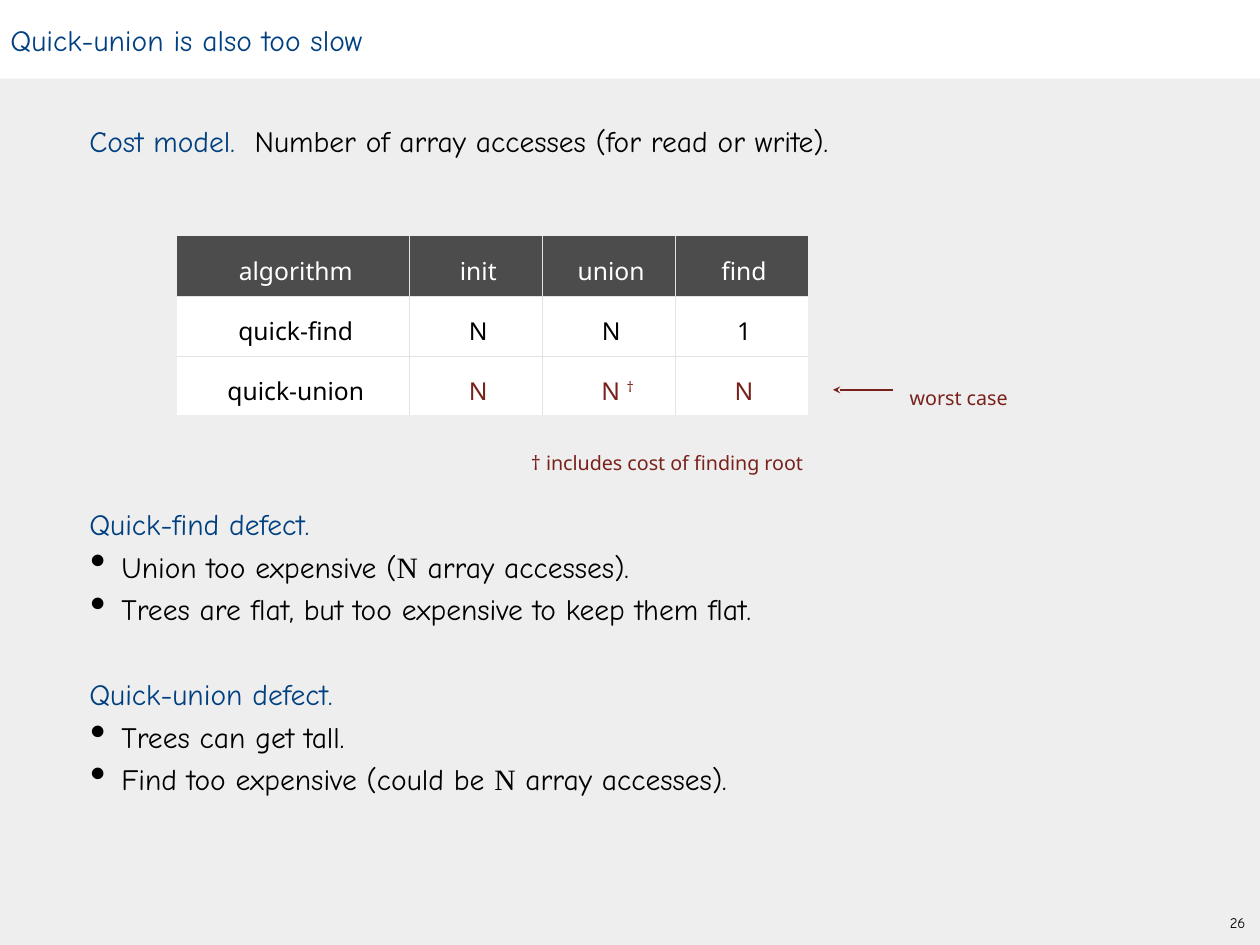
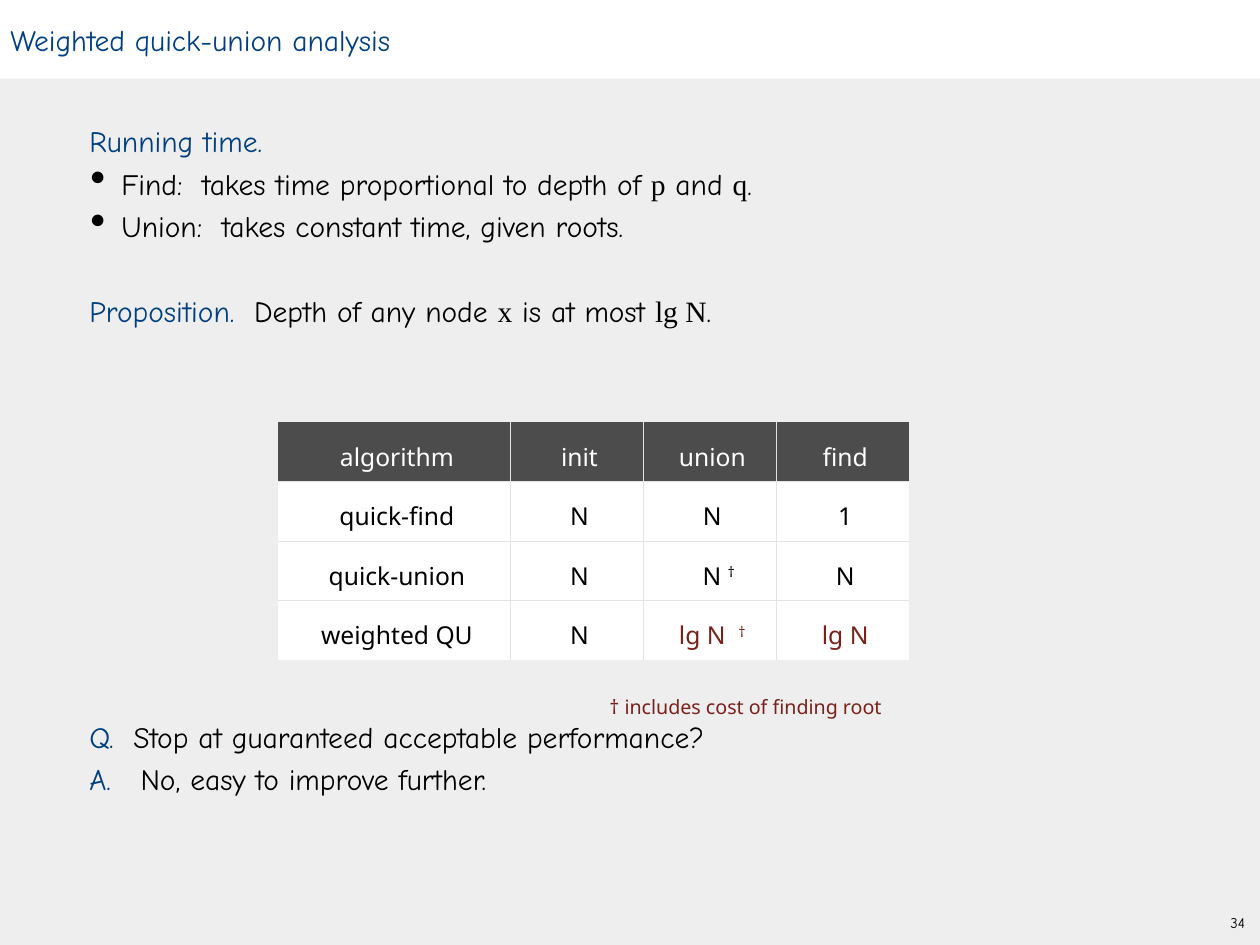
from lxml.etree import SubElement
from pptx import Presentation
from pptx.dml.color import RGBColor
from pptx.enum.shapes import MSO_CONNECTOR as Connector, MSO_SHAPE as Shape
from pptx.enum.text import MSO_ANCHOR as Anchor, PP_ALIGN as Align
from pptx.oxml.ns import qn
from pptx.util import Cm, Pt

WIDTH, HEIGHT = 36.12, 27.1
COLORS = {
    "page": "EEEEEE", "white": "FFFFFF", "black": "000000", "blue": "004080",
    "red": "79211B", "header": "4C4C4C", "rule": "E1E4E5",
}
# font, size, colour
STYLES = {
    "body": ("Comic Neue", 24, "black"),
    "lead": ("Comic Neue", 24, "blue"),
    "math": ("Times New Roman", 24, "black"),
    "header": ("Noto Sans", 20, "white"),
    "cell": ("Noto Sans", 20, "black"),
    "result": ("Noto Sans", 20, "red"),
    "note": ("Noto Sans", 16, "red"),
    "number": ("Comic Neue", 12, "black"),
}
INSET = 0.15
BODY_LEFT, BODY_TOP, BODY_WIDTH, LINE_PITCH = 2.26, 3.18, 31.6, 1.22
COLUMN_WIDTHS, ROW_HEIGHT = (6.65, 3.81, 3.81, 3.81), 1.71
BULLET = "•"
DAGGER = "†"
FOOTNOTE = "† includes cost of finding root"


def color(name):
    return RGBColor.from_string(COLORS[name])


def apply(target, values):
    for name, value in values.items():
        setattr(target, name, value)


class SlideBuilder:
    """Holds the deck, its shared style and the slide being built."""

    def __init__(self):
        self.deck = Presentation()
        apply(self.deck, {"slide_width": Cm(WIDTH), "slide_height": Cm(HEIGHT)})
        background = self.deck.slide_master.background.fill
        background.solid()
        background.fore_color.rgb = color("page")
        self.shapes = None

    def new_slide(self, title, number):
        self.shapes = self.deck.slides.add_slide(self.deck.slide_layouts[6]).shapes
        band = self.shapes.add_shape(Shape.RECTANGLE, 0, 0, Cm(WIDTH), Cm(2.26))
        band.shadow.inherit = False
        band.fill.solid()
        band.fill.fore_color.rgb = color("white")
        band.line.fill.background()
        self.frame(band, (INSET, INSET, 0.46, INSET), Anchor.MIDDLE)
        self.fill_para(band.text_frame.paragraphs[0], [(title, "lead")])
        box = self.text_box(35.1, 26.04, 0.76, 0.84, (0, 0, 0, 0), Anchor.MIDDLE)
        self.fill_para(box.text_frame.paragraphs[0], [(number, "number")],
                       align=Align.CENTER, left=0)

    def frame(self, box, insets, anchor):
        sides = ("margin_left", "margin_top", "margin_right", "margin_bottom")
        values = dict(zip(sides, map(Cm, insets)))
        apply(box.text_frame, {**values, "word_wrap": True, "vertical_anchor": anchor})

    def text_box(self, left, top, width, height, insets, anchor=Anchor.TOP):
        box = self.shapes.add_textbox(Cm(left), Cm(top), Cm(width), Cm(height))
        self.frame(box, insets, anchor)
        return box

    def fill_para(self, para, spans, spacing=1.0, align=Align.LEFT, left=INSET, hanging=0):
        """Fill a paragraph from (text, style) pairs; a dagger of its own is raised."""
        apply(para, {"line_spacing": spacing, "alignment": align})
        properties = para._p.get_or_add_pPr()
        properties.set("marL", str(Cm(left)))
        properties.set("indent", str(Cm(-hanging)))
        for text, style in spans:
            font, size, tone = STYLES[style]
            span = para.add_run()
            span.text = text
            apply(span.font, {"name": font, "size": Pt(size), "bold": False})
            span.font.color.rgb = color(tone)
            if text == DAGGER:
                span._r.get_or_add_rPr().set("baseline", "32000")

    def body(self, first_line, *lines):
        """Put lines on the body's line grid; a leading bullet starts a list item."""
        box = self.text_box(BODY_LEFT, BODY_TOP + first_line * LINE_PITCH, BODY_WIDTH,
                            len(lines) * LINE_PITCH + 2 * INSET,
                            (INSET, INSET, 0.46, INSET))
        for index, spans in enumerate(lines):
            text = box.text_frame
            para = text.add_paragraph() if index else text.paragraphs[0]
            if spans[0] == BULLET:
                self.fill_para(para, spans[1:], 1.2, left=1.07, hanging=0.89)
                properties = para._p.get_or_add_pPr()
                SubElement(properties, qn("a:buSzPct")).set("val", "150000")
                SubElement(properties, qn("a:buChar")).set("char", BULLET)
            else:
                self.fill_para(para, spans, 1.2)

    def note(self, text, left, top, width):
        box = self.text_box(left, top, width, 0.91, (0, 0, INSET, 0))
        self.fill_para(box.text_frame.paragraphs[0], [(text, "note")], 1.5)

    def arrow(self, tip, tail, y):
        """Draw a horizontal arrow that points at tip."""
        line = self.shapes.add_connector(Connector.STRAIGHT, Cm(tip), Cm(y), Cm(tail), Cm(y))
        line.line.color.rgb = color("red")
        line.line.width = Pt(2)
        properties = line._element.spPr
        SubElement(properties.find(qn("a:ln")), qn("a:headEnd")).set("type", "stealth")
        SubElement(properties, qn("a:effectLst"))

    def borders(self, cell, drawn):
        """Rule the sides marked true in drawn and clear the others."""
        properties = cell._tc.get_or_add_tcPr()
        for side, visible in drawn.items():
            edge = SubElement(properties, qn("a:ln" + side), w=str(Pt(0.25)))
            if visible:
                fill = SubElement(edge, qn("a:solidFill"))
                SubElement(fill, qn("a:srgbClr")).set("val", COLORS["rule"])
            else:
                SubElement(edge, qn("a:noFill"))

    def table(self, left, top, rows, results):
        """Draw a cost table; results holds the (row, column) places in red."""
        last_row, last_column = len(rows) - 1, len(COLUMN_WIDTHS) - 1
        table = self.shapes.add_table(
            len(rows), len(COLUMN_WIDTHS), Cm(left), Cm(top),
            Cm(sum(COLUMN_WIDTHS)), Cm(len(rows) * ROW_HEIGHT)).table
        apply(table, {"first_row": False, "horz_banding": False})
        for column, width in zip(table.columns, COLUMN_WIDTHS):
            column.width = Cm(width)
        for r, texts in enumerate(rows):
            table.rows[r].height = Cm(ROW_HEIGHT)
            for c, text in enumerate(texts):
                cell = table.cell(r, c)
                self.borders(cell, {"L": c > 0, "R": c < last_column,
                                    "T": r > 0, "B": r < last_row})
                cell.fill.solid()
                cell.fill.fore_color.rgb = color("white" if r else "header")
                # balances the dagger so that the N stays centred in its column
                shift = 0.37 if text == "N †" else 0
                apply(cell, {"margin_left": Cm(INSET + shift), "margin_right": Cm(INSET),
                             "margin_top": Cm(INSET), "margin_bottom": Cm(INSET),
                             "vertical_anchor": Anchor.MIDDLE})
                style = "result" if (r, c) in results else "cell" if r else "header"
                spans = [(part, style) for part in text.partition(DAGGER) if part]
                self.fill_para(cell.text_frame.paragraphs[0], spans, 1.3, Align.CENTER)


HEADER = ("algorithm", "init", "union", "find")
QUICK_FIND = ("quick-find", "N", "N", "1")
QUICK_UNION = ("quick-union", "N", "N †", "N")
WEIGHTED = ("weighted QU", "N", "lg N  †", "lg N")


def quick_union_slide(builder):
    builder.new_slide("Quick-union is also too slow", "26")
    builder.body(0, [("Cost model. ", "lead"),
                     (" Number of array accesses (for read or write).", "body")])
    builder.table(5.08, 6.78, (HEADER, QUICK_FIND, QUICK_UNION), {(2, 1), (2, 2), (2, 3)})
    builder.arrow(23.88, 25.6, 11.18)
    builder.note("worst case", 25.93, 10.72, 3.38)
    builder.note(FOOTNOTE, 15.07, 12.6, 8.76)
    builder.body(9, [("Quick-find defect.", "lead")],
                 [BULLET, ("Union too expensive (", "body"), ("N", "math"),
                  (" array accesses).", "body")],
                 [BULLET, ("Trees are flat, but too expensive to keep them flat.", "body")])
    builder.body(13, [("Quick-union defect.", "lead")],
                 [BULLET, ("Trees can get tall.", "body")],
                 [BULLET, ("Find too expensive (could be ", "body"), ("N", "math"),
                  (" array accesses).", "body")])


def weighted_slide(builder):
    builder.new_slide("Weighted quick-union analysis", "34")
    builder.body(0, [("Running time.", "lead")],
                 [BULLET, ("Find:  takes time proportional to depth of ", "body"),
                  ("p", "math"), (" and ", "body"), ("q", "math"), (".", "body")],
                 [BULLET, ("Union:  takes constant time, given roots.", "body")])
    builder.body(4, [("Proposition.  ", "lead"), ("Depth of any node ", "body"),
                     ("x", "math"), (" is at most ", "body"), ("lg N", "math"),
                     (".", "body")])
    builder.table(7.98, 12.09, (HEADER, QUICK_FIND, QUICK_UNION, WEIGHTED),
                  {(3, 2), (3, 3)})
    builder.note(FOOTNOTE, 17.32, 19.58, 8.76)
    builder.body(14, [("Q.  ", "lead"),
                      ("Stop at guaranteed acceptable performance?", "body")],
                 [("A.   ", "lead"), ("No, easy to improve further.", "body")])


def main():
    builder = SlideBuilder()
    quick_union_slide(builder)
    weighted_slide(builder)
    builder.deck.save("out.pptx")


if __name__ == "__main__":
    main()
